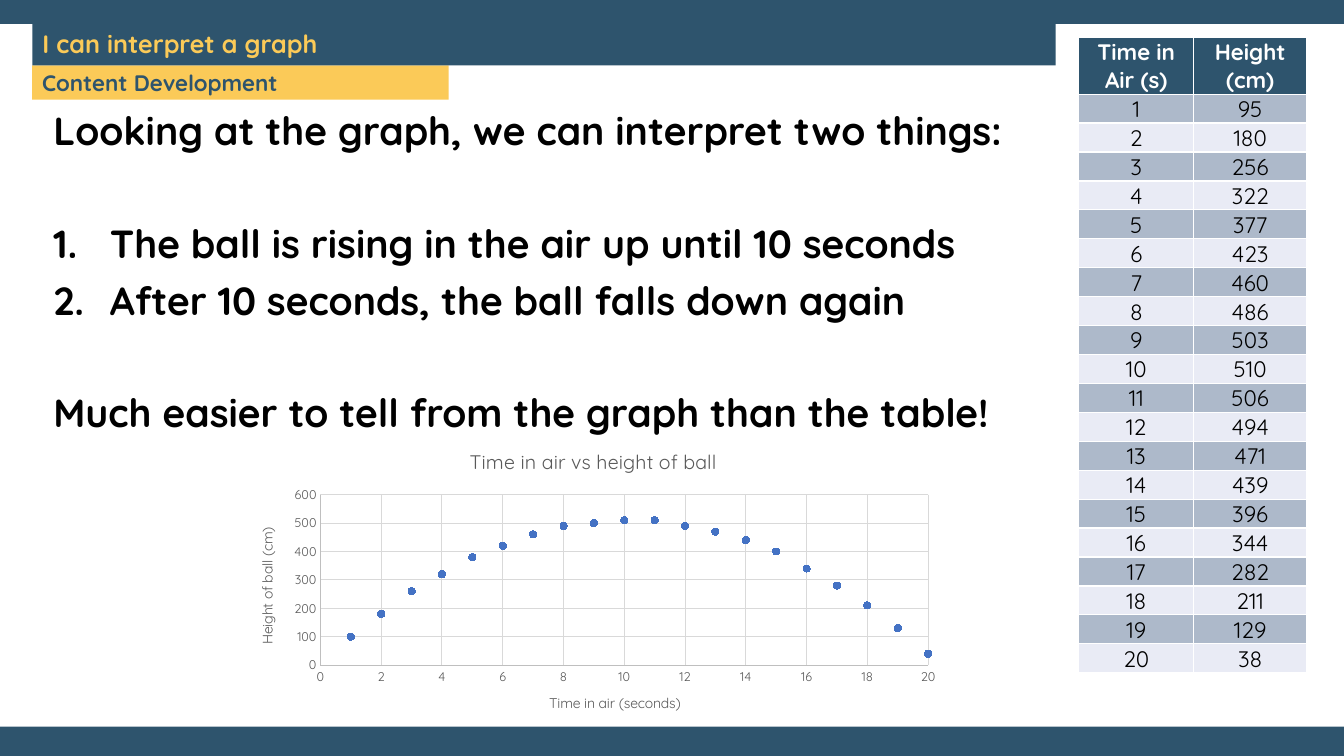
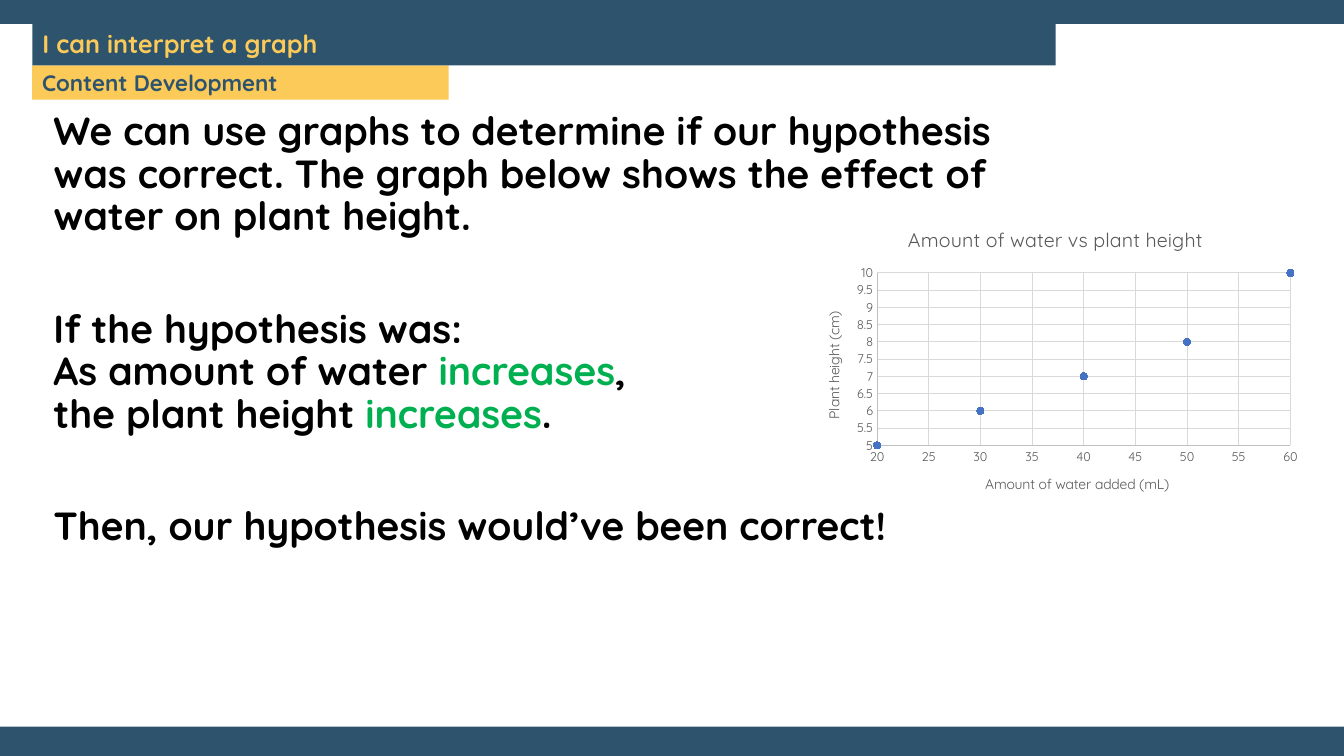
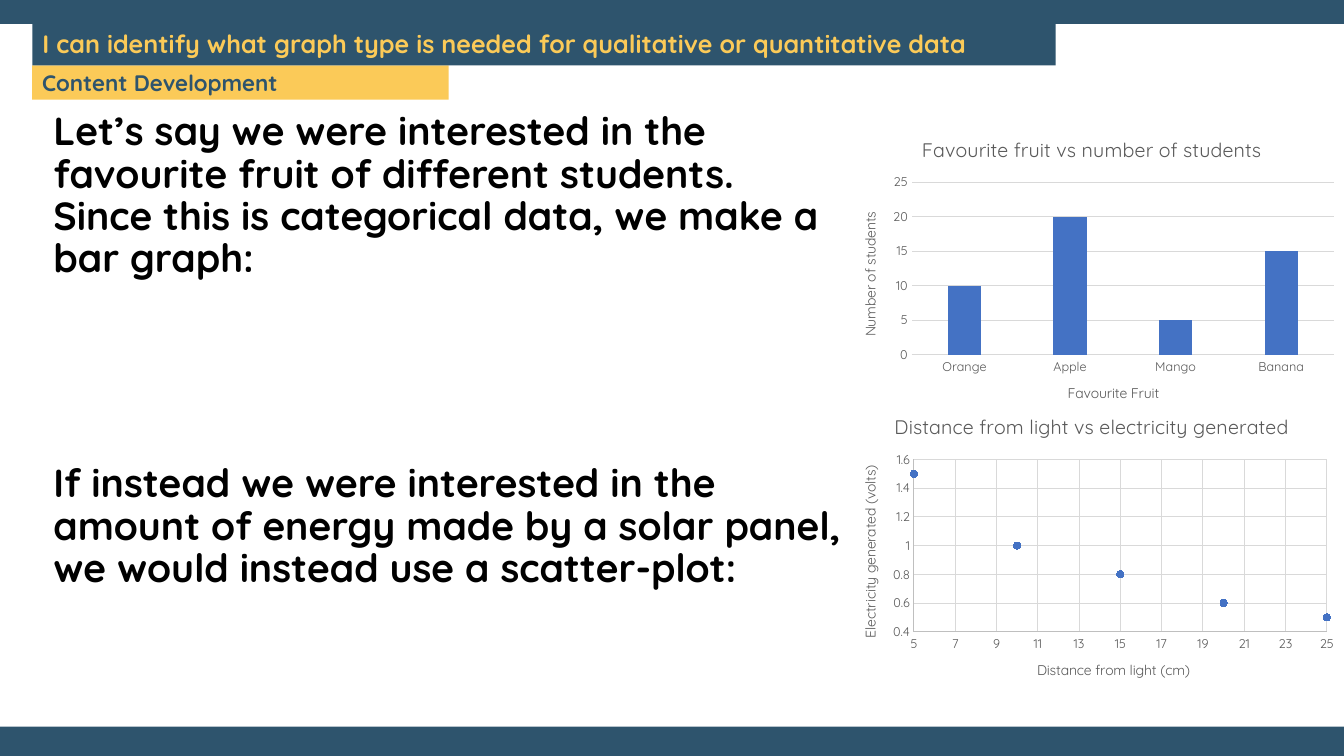
"""Build three lesson slides on reading graphs and choosing a graph type."""
from lxml import etree
from pptx import Presentation
from pptx import util as u
from pptx.chart import data as chart_data
from pptx.dml.color import RGBColor
from pptx.enum import chart as ch, shapes, text
from pptx.oxml.ns import qn

COLOURS = {
    "navy": "2E546D", "gold": "FBCA58", "white": "FFFFFF", "black": "000000",
    "green": "00B050", "stripe": "ADB9CA", "pale": "E9EBF5", "blue": "4472C4",
    "label": "595959", "axis": "BFBFBF", "grid": "D9D9D9",
}
RGB = {name: RGBColor.from_string(value) for name, value in COLOURS.items()}

HEADING = {"name": "Quicksand", "size": u.Pt(18), "bold": True, "color": "gold"}
SECTION = HEADING | {"size": u.Pt(16), "color": "navy"}
BODY = HEADING | {"size": u.Pt(28), "color": "black"}
TABLE_HEAD = SECTION | {"color": "white"}
TABLE_BODY = SECTION | {"color": "black", "bold": False}
GRAPH_TITLE = HEADING | {"size": u.Pt(14), "bold": False, "color": "label"}
AXIS_TITLE = GRAPH_TITLE | {"size": u.Pt(10)}
TICK_LABEL = GRAPH_TITLE | {"size": u.Pt(9)}


def style(font, look):
    """Apply a format dict to a font."""
    for attribute, value in look.items():
        if attribute == "color":
            font.color.rgb = RGB[value]
        else:
            setattr(font, attribute, value)


def add_graph(slide, box, title, axis_titles, xs, ys, scales):
    """Add a scatter plot, or a column chart when the x values are words."""
    columns = isinstance(xs[0], str)
    if columns:
        kind, points = ch.XL_CHART_TYPE.COLUMN_CLUSTERED, chart_data.CategoryChartData()
        points.categories = xs
        points.add_series("Series 1", ys)
    else:
        kind, points = ch.XL_CHART_TYPE.XY_SCATTER, chart_data.XyChartData()
        series = points.add_series("Series 1")
        for x, y in zip(xs, ys):
            series.add_data_point(x, y)
    graph = slide.shapes.add_chart(kind, *map(u.Inches, box), points).chart
    graph.has_legend = False
    style(graph.font, TICK_LABEL)
    graph.has_title = True
    graph.chart_title.include_in_layout = False
    captions = [(graph.chart_title.text_frame, title, GRAPH_TITLE)]

    axes = (graph.category_axis, graph.value_axis)
    for axis, axis_title, scale in zip(axes, axis_titles, scales):
        axis.has_title = True
        captions.append((axis.axis_title.text_frame, axis_title, AXIS_TITLE))
        axis.major_tick_mark = axis.minor_tick_mark = ch.XL_TICK_MARK.NONE
        style(axis.tick_labels.font, TICK_LABEL)
        axis.format.line.width = u.Pt(0.75)
        axis.format.line.color.rgb = RGB["grid" if columns else "axis"]
        axis.has_major_gridlines = scale is not None
        if scale:
            axis.minimum_scale, axis.maximum_scale, axis.major_unit = scale
            axis.major_gridlines.format.line.width = u.Pt(0.75)
            axis.major_gridlines.format.line.color.rgb = RGB["grid"]
    for frame, caption, look in captions:
        frame.text = caption
        style(frame.paragraphs[0].runs[0].font, look)
    captions[2][0]._bodyPr.set("rot", "-5400000")
    captions[2][0]._bodyPr.set("vert", "horz")

    plot = graph.plots[0]
    plot.vary_by_categories = False
    drawn = plot.series[0]
    if columns:
        plot.gap_width, plot.overlap = 219, -27
        axes[1].format.line.fill.background()
        mark = drawn.format
    else:
        drawn.format.line.fill.background()
        drawn.marker.style, drawn.marker.size = ch.XL_MARKER_STYLE.CIRCLE, 5
        mark = drawn.marker.format
        mark.line.color.rgb = RGB["blue"]
    mark.fill.solid()
    mark.fill.fore_color.rgb = RGB["blue"]


seconds = list(range(1, 21))
heights = [95, 180, 256, 322, 377, 423, 460, 486, 503, 510,
           506, 494, 471, 439, 396, 344, 282, 211, 129, 38]
plotted_heights = [100, 180, 260, 320, 380, 420, 460, 490, 500, 510,
                   510, 490, 470, 440, 400, 340, 280, 210, 130, 40]

lessons = [
    {
        "heading": "I can interpret a graph",
        "body_width": 9.93,
        "body": [
            (0, False, "Looking at the graph, we can interpret two things:"),
            (50.4, True, "The ball is rising in the air up until 10 seconds"),
            (10, True, "After 10 seconds, the ball falls down again"),
            (50.4, False, "Much easier to tell from the graph than the table!"),
        ],
        "graphs": [
            ((2.35, 4.29, 7.07, 2.98), "Time in air vs height of ball",
             ("Time in air (seconds)", "Height of ball (cm)"),
             seconds, plotted_heights, ((0, 20, 2), (0, 600, 100))),
        ],
    },
    {
        "heading": "I can interpret a graph",
        "body_width": 9.93,
        "body": [
            (0, False, "We can use graphs to determine if our hypothesis was correct. "
                       "The graph below shows the effect of water on plant height."),
            (50.4, False, "If the hypothesis was:"),
            (0, False, "As amount of water *increases*,"),
            (0, False, "the plant height *increases*."),
            (50.4, False, "Then, our hypothesis would’ve been correct!"),
        ],
        "graphs": [
            ((7.97, 2.09, 5, 3), "Amount of water vs plant height",
             ("Amount of water added (mL)", "Plant height (cm)"),
             [20, 30, 40, 50, 60], [5, 6, 7, 8, 10], ((20, 60, 5), (5, 10, 0.5))),
        ],
    },
    {
        "heading": "I can identify what graph type is needed for qualitative or quantitative data",
        "body_width": 8.03,
        "body": [
            (0, False, "Let’s say we were interested in the favourite fruit of different "
                       "students. Since this is categorical data, we make a bar graph:"),
            (130.5, False, "If instead we were interested in the amount of energy made by "
                           "a solar panel, we would instead use a scatter-plot:"),
        ],
        "graphs": [
            ((8.33, 1.19, 5, 3), "Favourite fruit vs number of students",
             ("Favourite Fruit", "Number of students"),
             ["Orange", "Apple", "Mango", "Banana"], [10, 20, 5, 15],
             (None, (0, 25, 5))),
            ((8.33, 3.94, 5, 3), "Distance from light vs electricity generated",
             ("Distance from light (cm)", "Electricity generated (volts)"),
             [5, 10, 15, 20, 25], [1.5, 1, 0.8, 0.6, 0.5],
             ((5, 25, 2), (0.4, 1.6, 0.2))),
        ],
    },
]

deck = Presentation()
deck.slide_width, deck.slide_height = u.Inches(13.33), u.Inches(7.5)
layout = deck.slide_layouts[1]
for footer in list(layout.placeholders)[2:]:
    layout.shapes.element.remove(footer.element)
slides = [deck.slides.add_slide(layout) for lesson in lessons]

bands = [
    ((0, 0, 13.33, 7.5), "navy", ""),
    ((0, 0.24, 13.33, 6.97), "white", ""),
    ((0.32, 0.65, 4.13, 0.34), "gold", "Content Development"),
]
for box, colour, label in bands:
    band = slides[0].shapes.add_shape(shapes.MSO_SHAPE.RECTANGLE, *map(u.Inches, box))
    band.shadow.inherit = False
    band.fill.solid()
    band.fill.fore_color.rgb = RGB[colour]
    band.line.fill.background()
    if label:
        band.text_frame.vertical_anchor = text.MSO_ANCHOR.MIDDLE
        section = band.text_frame.paragraphs[0]
        section.alignment = text.PP_ALIGN.LEFT
        section.text = label
        style(section.runs[0].font, SECTION)
    layout.shapes.element.append(band.element)

for slide, lesson in zip(slides, lessons):
    heading, body = slide.placeholders
    places = [(heading, (0.32, 0.24, 10.15, 0.41), text.MSO_ANCHOR.MIDDLE),
              (body, (0.43, 1.06, lesson["body_width"], 2.06), text.MSO_ANCHOR.TOP)]
    for holder, box, anchor in places:
        holder.left, holder.top, holder.width, holder.height = map(u.Inches, box)
        holder.text_frame.auto_size = text.MSO_AUTO_SIZE.NONE
        holder.text_frame.word_wrap = True
        holder.text_frame.vertical_anchor = anchor

    heading.fill.solid()
    heading.fill.fore_color.rgb = RGB["navy"]
    heading.text_frame.text = lesson["heading"]
    goal = heading.text_frame.paragraphs[0]
    goal.alignment, goal.line_spacing = text.PP_ALIGN.LEFT, 0.9
    style(goal.runs[0].font, HEADING)

    for row, (gap, numbered, sentence) in enumerate(lesson["body"]):
        point = body.text_frame.add_paragraph() if row else body.text_frame.paragraphs[0]
        properties = point._p.get_or_add_pPr()
        indent = u.Inches(0.56) if numbered else 0
        properties.set("marL", str(indent))
        properties.set("indent", str(-indent))
        bullet = etree.SubElement(properties, qn("a:buAutoNum" if numbered else "a:buNone"))
        if numbered:
            bullet.set("type", "arabicPeriod")
        point.line_spacing, point.space_before = 0.9, u.Pt(gap)
        for part, words in enumerate(sentence.split("*")):
            run = point.add_run()
            run.text = words
            style(run.font, BODY | {"color": "green" if part % 2 else "black"})

    for graph in lesson["graphs"]:
        add_graph(slide, *graph)

rows = [("Time in Air (s)", "Height (cm)"), *zip(seconds, heights)]
flight_table = slides[0].shapes.add_table(
    len(rows), 2, *map(u.Inches, (10.7, 0.37, 2.26, 6.16))).table
for column, width in zip(flight_table.columns, (1.14, 1.12)):
    column.width = u.Inches(width)
margins = {"margin_left": 0.01, "margin_right": 0.01, "margin_top": 0.01, "margin_bottom": 0}
for r, values in enumerate(rows):
    flight_table.rows[r].height = u.Inches(0.28 if r else 0.56)
    for c, value in enumerate(values):
        cell = flight_table.cell(r, c)
        for side, margin in margins.items():
            setattr(cell, side, u.Inches(margin))
        cell.vertical_anchor = text.MSO_ANCHOR.MIDDLE
        for edge in ("a:lnL", "a:lnR", "a:lnT", "a:lnB"):
            border = etree.SubElement(cell._tc.get_or_add_tcPr(), qn(edge), w="12700")
            ink = etree.SubElement(border, qn("a:solidFill"))
            etree.SubElement(ink, qn("a:srgbClr"), val=COLOURS["white"])
        cell.fill.solid()
        cell.fill.fore_color.rgb = RGB["navy" if r == 0 else "stripe" if r % 2 else "pale"]
        entry = cell.text_frame.paragraphs[0]
        entry.alignment = text.PP_ALIGN.CENTER
        entry.text = str(value)
        style(entry.runs[0].font, TABLE_BODY if r else TABLE_HEAD)

deck.save("out.pptx")
